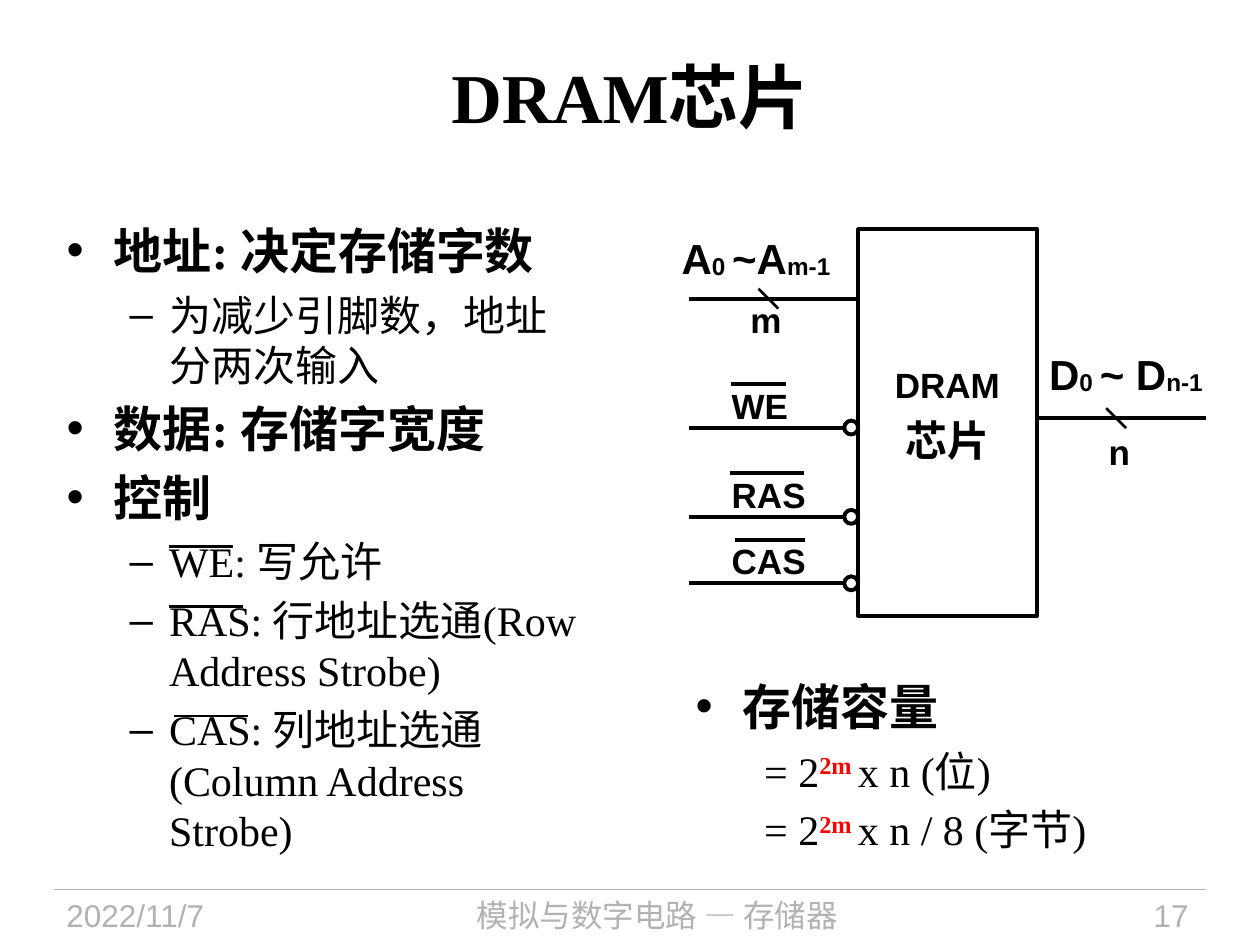
from lxml.etree import SubElement
from pptx import Presentation
from pptx.dml.color import RGBColor
from pptx.enum.lang import MSO_LANGUAGE_ID
from pptx.enum.shapes import MSO_CONNECTOR, MSO_SHAPE
from pptx.enum.text import MSO_ANCHOR, MSO_AUTO_SIZE, PP_ALIGN
from pptx.oxml.ns import qn
from pptx.util import Cm, Pt

COLOURS = {"ink": "000000", "paper": "FFFFFF", "footer": "B2B2B2", "accent": "FF0000"}
SERIF, SANS, CJK = "Times New Roman", "Arial", "Noto Sans CJK SC"
SUBSCRIPT, SUPERSCRIPT = -2000, 30000


def colour(name):
    return RGBColor.from_string(COLOURS[name])


class SlideBuilder:
    def __init__(self, slide):
        self.slide = slide
        self.text_format = {"name": SANS, "size": 20, "bold": True, "colour": "ink"}

    def place(self, shape, box):
        for name, value in zip(("left", "top", "width", "height"), box):
            setattr(shape, name, Cm(value))

    def add_runs(self, paragraph, parts, **changes):
        """Add runs; each part is a string or a (string, changed format) pair."""
        for part in [parts] if isinstance(parts, str) else parts:
            text, own = (part, {}) if isinstance(part, str) else part
            style = {**self.text_format, **changes, **own}
            run = paragraph.add_run()
            run.text = text
            values = {"name": style["name"], "size": Pt(style["size"]),
                      "bold": style["bold"],
                      "language_id": MSO_LANGUAGE_ID.SIMPLIFIED_CHINESE}
            for name, value in values.items():
                setattr(run.font, name, value)
            run.font.color.rgb = colour(style["colour"])
            if "baseline" in style:
                run._r.get_or_add_rPr().set("baseline", str(style["baseline"]))

    def title(self, text, box):
        shape = self.slide.shapes.title
        self.place(shape, box)
        shape.text_frame.vertical_anchor = MSO_ANCHOR.MIDDLE
        self.add_runs(shape.text_frame.paragraphs[0], text, name=SERIF, size=40)

    def body(self, index, box, items):
        """Fill a list; an item of level None is an indented line without bullet."""
        shape = self.slide.placeholders[index]
        self.place(shape, box)
        frame = shape.text_frame
        frame.auto_size = MSO_AUTO_SIZE.NONE
        for number, (level, parts) in enumerate(items):
            paragraph = frame.add_paragraph() if number else frame.paragraphs[0]
            size = 28 if level == 0 else 24
            paragraph.level = level or 0
            paragraph.space_before = Pt(0)
            paragraph.space_after = Pt(size * 0.2)
            if level is None:
                properties = paragraph._p.get_or_add_pPr()
                properties.set("marL", str(int(Cm(1.38))))
                properties.set("indent", "0")
                SubElement(properties, qn("a:buNone"))
            self.add_runs(paragraph, parts, name=SERIF, size=size, bold=level == 0)

    def label(self, box, lines, align=PP_ALIGN.LEFT, wrap=False, **changes):
        shape = self.slide.shapes.add_textbox(*map(Cm, box))
        frame = shape.text_frame
        frame.word_wrap = wrap
        for number, parts in enumerate(lines):
            paragraph = frame.add_paragraph() if number else frame.paragraphs[0]
            paragraph.alignment = align
            paragraph.space_before = Pt(4.8 if number else 0)
            self.add_runs(paragraph, parts, **changes)

    def line(self, start, end, width=2.25, ink="ink"):
        connector = self.slide.shapes.add_connector(
            MSO_CONNECTOR.STRAIGHT, *map(Cm, (*start, *end)))
        connector.line.color.rgb = colour(ink)
        connector.line.width = Pt(width)
        SubElement(connector._element.spPr, qn("a:effectLst"))

    def outline(self, kind, box, fill=None):
        shape = self.slide.shapes.add_shape(kind, *map(Cm, box))
        shape.shadow.inherit = False
        if fill:
            shape.fill.solid()
            shape.fill.fore_color.rgb = colour(fill)
        else:
            shape.fill.background()
        shape.line.color.rgb = colour("ink")
        shape.line.width = Pt(2.25)

    def bus_slash(self, x, y):
        self.line((x - 0.2, y - 0.2), (x + 0.2, y + 0.2), 1.5)


def draw_footer(builder):
    top, height = 17.93, 1.12
    builder.line((1.09, top), (24.31, top), 0.75, "footer")
    for left, width, text, align, font in (
            (1.09, 4.78, "2022/11/7", PP_ALIGN.LEFT, SANS),
            (6.1, 14.3, "模拟与数字电路 — 存储器", PP_ALIGN.CENTER, CJK),
            (20.83, 3.38, "17", PP_ALIGN.RIGHT, SANS)):
        builder.label((left, top, width, height), [text], align, True,
                      name=font, size=18, bold=False, colour="footer")


def draw_chip(builder):
    pin_left, chip_left, chip_right, pin_right = 13.89, 17.3, 20.91, 24.31
    address_y, data_y, bubble = 6.02, 8.43, 0.28
    builder.label((17.5, 7.21, 3.2, 2.31), ["DRAM", [("芯片", {"size": 24})]],
                  PP_ALIGN.CENTER, True)
    builder.outline(MSO_SHAPE.RECTANGLE,
                    (chip_left, 4.62, chip_right - chip_left, 7.8))

    builder.line((pin_left, address_y), (chip_left, address_y))
    builder.line((chip_right, data_y), (pin_right, data_y))
    builder.bus_slash(15.49, address_y)
    builder.bus_slash(22.5, data_y)
    subscript = {"baseline": SUBSCRIPT}
    builder.label((13.49, 4.57, 3.73, 1.3),
                  [["A", ("0 ", subscript), "~A", ("m-1", subscript)]], size=24)
    builder.label((20.9, 6.91, 3.81, 1.3),
                  [["D", ("0 ", subscript), "~ D", ("n-1", subscript)]], size=24)
    builder.label((14.88, 5.89, 1.27, 1.09), ["m"])
    builder.label((22.1, 8.56, 0.94, 1.09), ["n"])

    for name, y, width, bar_start, bar_end in (("WE", 8.62, 1.65, 14.73, 15.85),
                                               ("RAS", 10.42, 2.01, 14.71, 16.21),
                                               ("CAS", 11.76, 2.01, 14.81, 16.23)):
        builder.line((pin_left, y), (chip_left, y))
        builder.label((14.5, y - 1, width, 1.09), [name])
        builder.line((bar_start, y - 0.88), (bar_end, y - 0.88))
        builder.outline(MSO_SHAPE.OVAL, (chip_left - bubble, y - bubble / 2,
                                         bubble, bubble), "paper")


def main():
    presentation = Presentation()
    presentation.slide_width, presentation.slide_height = Cm(25.4), Cm(19.05)
    slide = presentation.slides.add_slide(presentation.slide_layouts[3])
    builder = SlideBuilder(slide)

    draw_footer(builder)
    builder.title("DRAM芯片", (1.27, 0.64, 22.86, 2.57))
    builder.body(1, (1.09, 4.32, 10.92, 13.41), [
        (0, "地址: 决定存储字数"),
        (1, "为减少引脚数，地址分两次输入"),
        (0, "数据: 存储字宽度"),
        (0, "控制"),
        (1, "WE: 写允许"),
        (1, "RAS: 行地址选通(Row Address Strobe)"),
        (1, "CAS: 列地址选通(Column Address Strobe)"),
    ])
    draw_chip(builder)
    exponent = ("2m ", {"colour": "accent", "bold": True, "baseline": SUPERSCRIPT})
    builder.body(2, (13.77, 13.51, 9.42, 4.27), [
        (0, "存储容量"),
        (None, ["= 2", exponent, "x n (位)"]),
        (None, ["= 2", exponent, "x n / 8 (字节)"]),
    ])
    for start, end, y in ((3.4, 4.7, 11.02), (3.4, 4.9, 12.22), (3.5, 5, 14.43)):
        builder.line((start, y), (end, y), 1.5)
    presentation.save("out.pptx")


if __name__ == "__main__":
    main()
